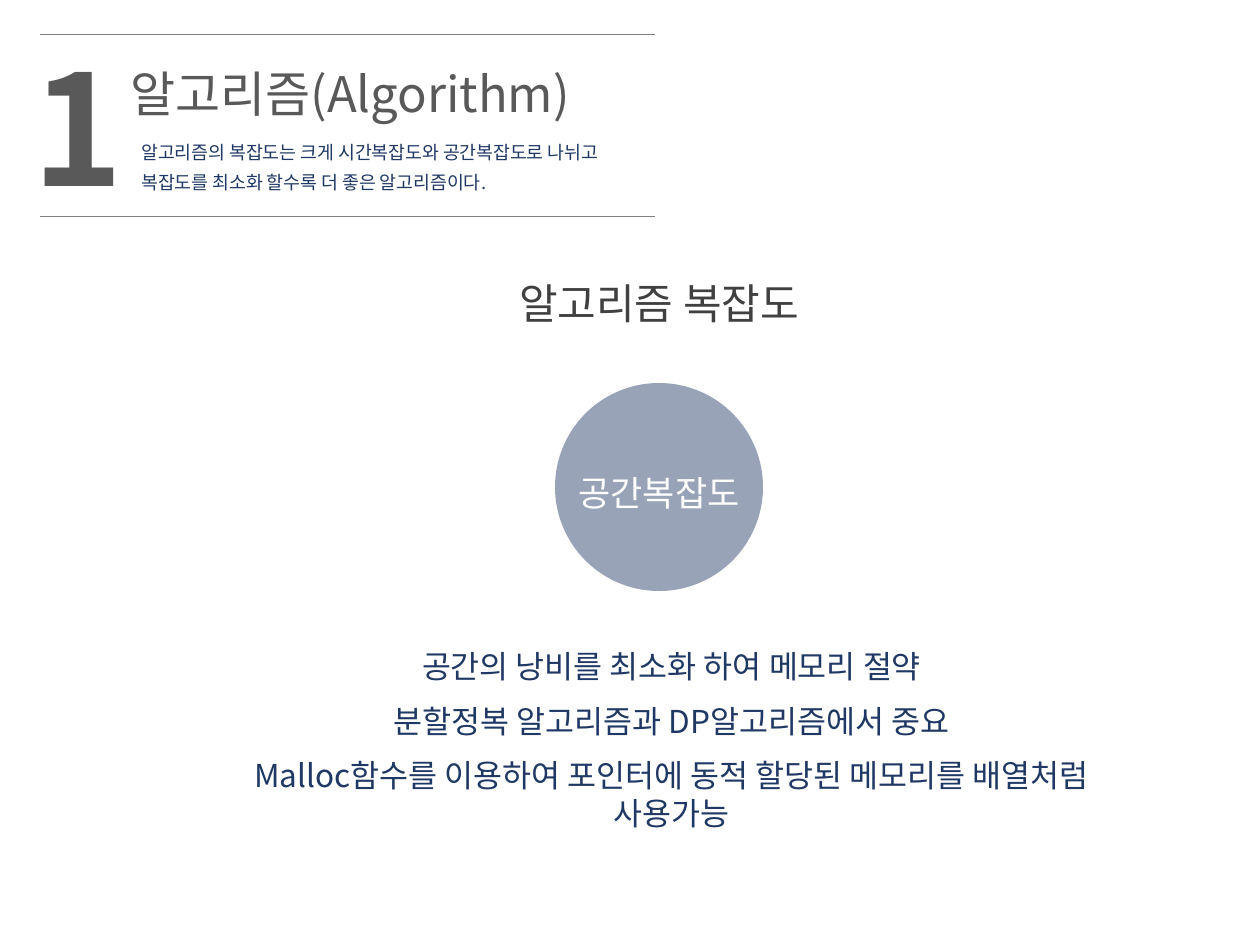
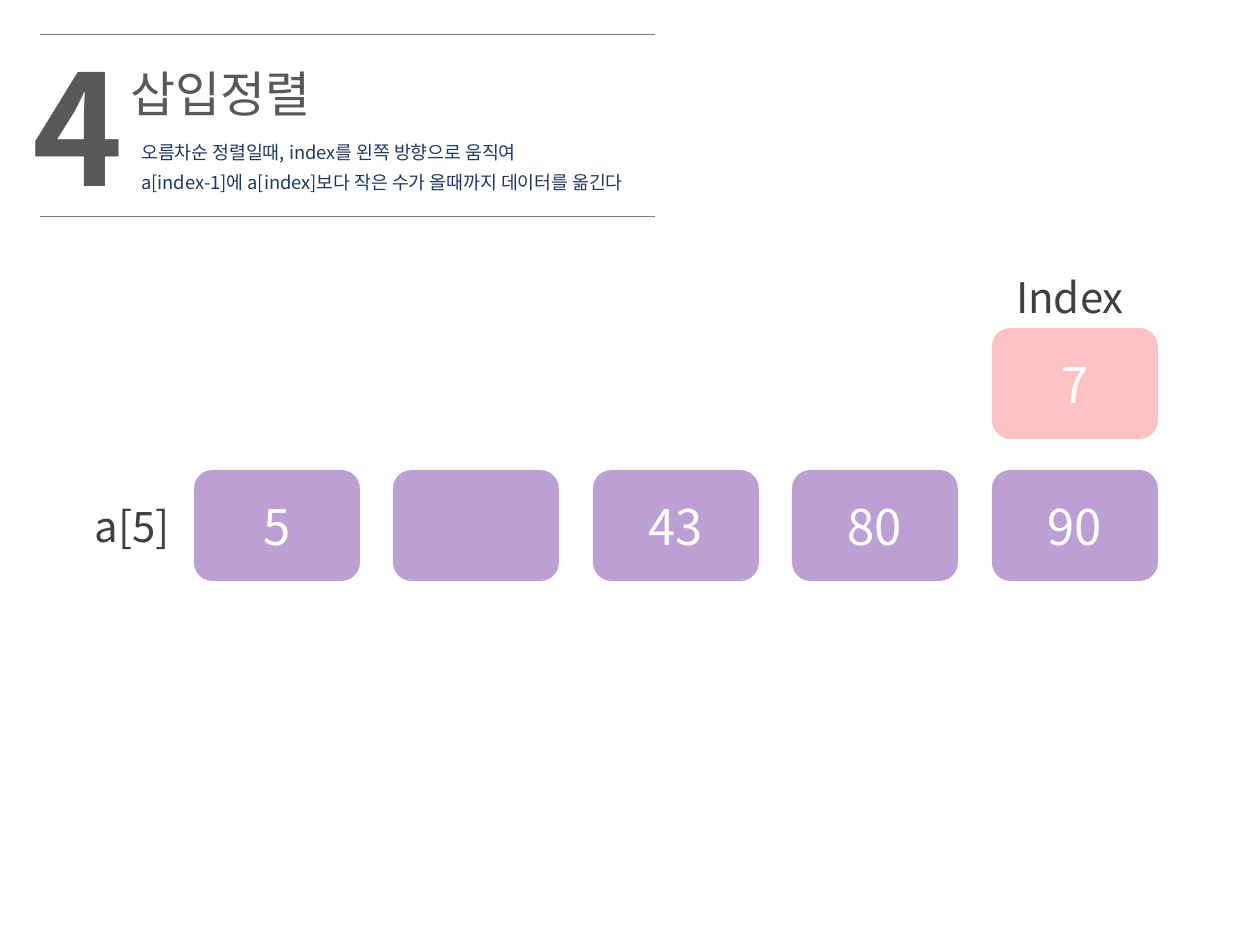
"""Build two slides on algorithm complexity and insertion sort."""
from lxml import etree
from pptx import Presentation
from pptx import util as u
from pptx.dml.color import RGBColor
from pptx.enum import shapes, text
from pptx.oxml.ns import qn

PX = 914400 / 126
FONT = "Noto Sans CJK KR"
GRAY = RGBColor(0x59, 0x59, 0x59)
DARK = RGBColor(0x40, 0x40, 0x40)
RULE = RGBColor(0x80, 0x80, 0x80)
NAVY = RGBColor(0x20, 0x38, 0x64)
PURPLE = RGBColor(0x70, 0x30, 0xA0)
CORAL = RGBColor(0xFF, 0x7C, 0x80)
WHITE = RGBColor(0xFF, 0xFF, 0xFF)
LEFT, CENTER = text.PP_ALIGN.LEFT, text.PP_ALIGN.CENTER
TOP, MIDDLE = text.MSO_ANCHOR.TOP, text.MSO_ANCHOR.MIDDLE
OVAL, ROUNDED = shapes.MSO_SHAPE.OVAL, shapes.MSO_SHAPE.ROUNDED_RECTANGLE


def write(sp, *lines, size, color, align=LEFT, anchor=TOP, bold=False, pitch=None, gap=0):
    tf = sp.text_frame
    tf.word_wrap = True
    tf.auto_size = text.MSO_AUTO_SIZE.NONE
    tf.vertical_anchor = anchor
    for i, line in enumerate(lines):
        p = tf.add_paragraph() if i else tf.paragraphs[0]
        p.alignment = align
        p.space_before = u.Pt(gap if i else 0)
        if pitch:
            p.line_spacing = u.Pt(pitch)
        r = p.add_run()
        r.text = line
        r.font.size = u.Pt(size)
        r.font.bold = bold
        r.font.color.rgb = color
        r.font.name = FONT
        etree.SubElement(r.font._element, qn("a:ea"), typeface=FONT)


def tinted(s, kind, box, color):
    sp = s.shapes.add_shape(kind, *[round(v * PX) for v in box])
    sp.shadow.inherit = False
    sp.fill.solid()
    sp.fill.fore_color.rgb = color
    sp.line.fill.background()
    clr = sp._element.spPr.find(qn("a:solidFill")).find(qn("a:srgbClr"))
    etree.SubElement(clr, qn("a:alpha"), val="46000")
    return sp


prs = Presentation()
prs.slide_width, prs.slide_height = u.Inches(10), u.Inches(7.5)

headers = [
    ("1", "알고리즘(Algorithm)",
     ["알고리즘의 복잡도는 크게 시간복잡도와 공간복잡도로 나뉘고",
      "복잡도를 최소화 할수록 더 좋은 알고리즘이다."]),
    ("4", "삽입정렬",
     ["오름차순 정렬일때, index를 왼쪽 방향으로 움직여",
      "a[index-1]에 a[index]보다 작은 수가 올때까지 데이터를 옮긴다"]),
]
for number, title, summary in headers:
    s = prs.slides.add_slide(prs.slide_layouts[5])
    sp = s.shapes.title
    sp.left, sp.top, sp.width, sp.height = [round(v * PX) for v in (118, 57, 566, 72)]
    write(sp, title, size=28, color=GRAY)
    sp = s.shapes.add_textbox(*[round(v * PX) for v in (129, 127, 576, 73)])
    write(sp, *summary, size=10.5, color=NAVY, pitch=17)
    sp = s.shapes.add_textbox(*[round(v * PX) for v in (20, 26, 110, 199)])
    write(sp, number, size=88, color=GRAY, bold=True)
    for y in (34, 216):
        line = s.shapes.add_connector(
            shapes.MSO_CONNECTOR.STRAIGHT, *[round(v * PX) for v in (40, y, 655, y)])
        line.line.color.rgb = RULE
        line.line.width = u.Pt(0.5)
        etree.SubElement(line._element.spPr, qn("a:effectLst"))

complexity, sorting = prs.slides

tinted(complexity, OVAL, (555, 383, 208, 208), NAVY)
sp = complexity.shapes.add_textbox(*[round(v * PX) for v in (555, 465, 208, 55)])
write(sp, "공간복잡도", size=20, color=WHITE, align=CENTER)
sp = complexity.shapes.add_textbox(*[round(v * PX) for v in (218, 641, 907, 161)])
write(sp, "공간의 낭비를 최소화 하여 메모리 절약",
      "분할정복 알고리즘과 DP알고리즘에서 중요",
      "Malloc함수를 이용하여 포인터에 동적 할당된 메모리를 배열처럼 사용가능",
      size=18, color=NAVY, align=CENTER, gap=9.6)

cells = [(194 + i * 399 // 2, 470, value, PURPLE)
         for i, value in enumerate(["5", "", "43", "80", "90"])]
cells.append((992, 328, "7", CORAL))
for x, y, value, color in cells:
    sp = tinted(sorting, ROUNDED, (x, y, 166, 111), color)
    if value:
        write(sp, value, size=28, color=WHITE, align=CENTER, anchor=MIDDLE)

labels = [
    (complexity, "알고리즘 복잡도", (421, 271, 476, 63)),
    (sorting, "a[5]", (72, 494, 121, 63)),
    (sorting, "Index", (998, 265, 144, 63)),
]
for s, label, box in labels:
    sp = s.shapes.add_textbox(*[round(v * PX) for v in box])
    write(sp, label, size=24, color=DARK, align=CENTER)

prs.save("out.pptx")
